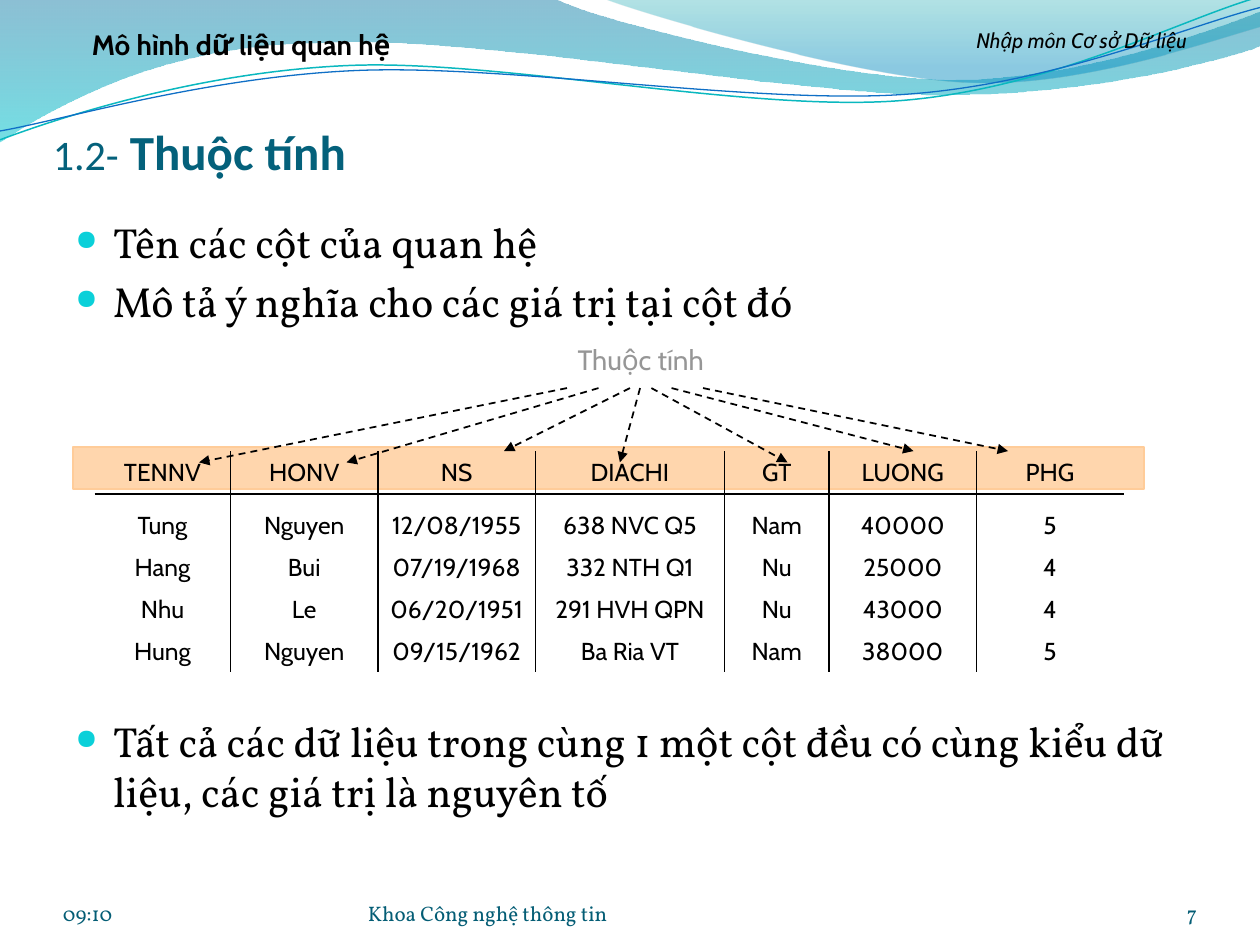
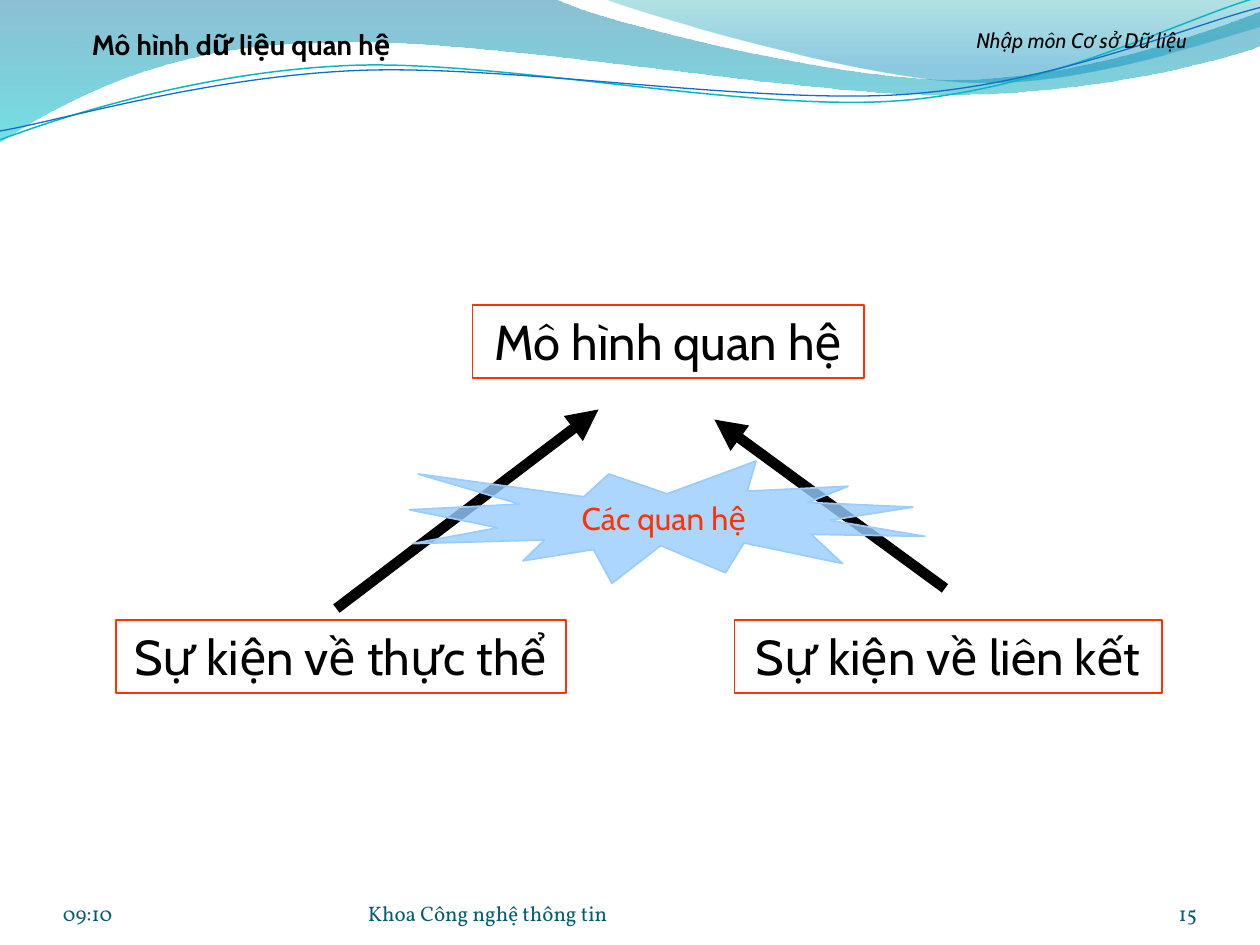
from dataclasses import dataclass
from itertools import accumulate
from math import cos, radians, sin
from typing import Any, NamedTuple

from lxml import etree
from pptx import Presentation, util as u
from pptx.dml.color import RGBColor
from pptx.enum import dml, shapes, text
from pptx.oxml.ns import qn


@dataclass(frozen=True)
class Theme:
    black: str = "000000"
    title: str = "04617B"
    foot: str = "045D75"
    dot: str = "0BD0D9"
    peach: str = "FFCC99"
    grey: str = "969696"
    red: str = "FF3300"
    sky: str = "99CCFF"
    head: str = "Calibri"
    body: str = "Vollkorn"
    sans: str = "Cabin"
    small: int = 12
    cell: int = 14
    label: int = 16
    seal: int = 18
    main: int = 24
    big: int = 28


T = Theme()
LEFT, MID, RIGHT = text.PP_ALIGN.LEFT, text.PP_ALIGN.CENTER, text.PP_ALIGN.RIGHT
TOP, BASE, CORE = text.MSO_ANCHOR.TOP, text.MSO_ANCHOR.BOTTOM, text.MSO_ANCHOR.MIDDLE
GROW = text.MSO_AUTO_SIZE.SHAPE_TO_FIT_TEXT
RECT = shapes.MSO_SHAPE.RECTANGLE
INSETS = ("margin_left", "margin_top", "margin_right", "margin_bottom")
PLAIN = "{2D5ABB26-0587-4C30-8999-92F81FD0307C}"


class Box(NamedTuple):
    x: float
    y: float
    w: float
    h: float


class Run(NamedTuple):
    words: str
    size: int
    font: str = T.sans
    color: str = T.black
    bold: bool = False
    italic: bool = False


class Label(NamedTuple):
    box: Box
    runs: tuple[Run, ...]
    align: Any = MID
    anchor: Any = TOP
    inset: tuple[float, ...] = (0.1, 0.05, 0.1, 0.05)


class Line(NamedTuple):
    start: tuple[float, float]
    end: tuple[float, float]


class Stop(NamedTuple):
    place: float
    color: str
    alpha: int


class Wave(NamedTuple):
    start: tuple[float, float]
    steps: tuple[tuple[float, ...], ...]
    stops: tuple[Stop, ...] = ()
    color: str = ""
    width: float = 0
    turn: float = 0
    hub: tuple[float, float] = (0, 0)


class Col(NamedTuple):
    width: float
    cells: tuple[str, ...]


WAVES = (
    Wave((0, -0.01), (
        (4.4, -0.01), (4.76, 0.17, 6.64, 0.63, 7.58, 0.63),
        (8.53, 0.63, 9.58, 0.26, 10, 0.09), (10.01, 0.36),
        (9.83, 0.44, 8.7, 0.76, 7.46, 0.75), (6.22, 0.75, 3.82, 0.28, 2.57, 0.34),
        (1.29, 0.35, 0.46, 0.83, -0.01, 1.13)),
        stops=(Stop(0, "0074A1", 45), Stop(1, "00C6CF", 55))),
    Wave((4.79, -0.01), (
        (5.09, 0.11, 6.82, 0.62, 7.69, 0.65), (8.56, 0.69, 9.61, 0.32, 10, 0.21), (10, 0)),
        stops=(Stop(0, "00A1A9", 30), Stop(0.8, "008BBF", 45))),
    Wave((0, 1.11), (
        (0.48, 0.93, 1.58, 0.57, 2.77, 0.52), (3.95, 0.47, 5.93, 0.89, 7.13, 0.8),
        (8.33, 0.71, 9.38, 0.15, 9.98, -0.02)),
        color="0AB8BF", width=0.85, turn=-2.7, hub=(4.99, 0.57)),
    Wave((0, 1.04), (
        (0.47, 0.96, 1.64, 0.61, 2.83, 0.56), (4.03, 0.51, 5.97, 0.83, 7.17, 0.75),
        (8.36, 0.67, 9.41, 0.21, 10, 0.06)),
        color="0F6FC6", width=0.75, turn=-2.7, hub=(5, 0.59)),
)
COLS = (
    Col(1.08, ("TENNV", "Tung", "Hang", "Nhu", "Hung")),
    Col(1.17, ("HONV", "Nguyen", "Bui", "Le", "Nguyen")),
    Col(1.25, ("NS", "12/08/1955", "07/19/1968", "06/20/1951", "09/15/1962")),
    Col(1.5, ("DIACHI", "638 NVC Q5", "332 NTH Q1", "291 HVH QPN", "Ba Ria VT")),
    Col(0.83, ("GT", "Nam", "Nu", "Nu", "Nam")),
    Col(1.17, ("LUONG", "40000", "25000", "43000", "38000")),
    Col(1.17, ("PHG", "5", "4", "4", "5")),
)
ROWS = (0.33, 0.41, 1 / 3, 1 / 3, 1 / 3)
RAYS = (
    Line((5.08, 3.08), (4.92, 3.67)), Line((5, 3.08), (4, 3.58)),
    Line((5.17, 3.08), (6.25, 3.67)), Line((5.33, 3.08), (7.25, 3.58)),
    Line((4.75, 3.08), (2.75, 3.67)), Line((4.5, 3.08), (1.58, 3.67)),
    Line((5.58, 3.08), (8, 3.58)),
)
LISTS = (
    (Box(0.5, 1.67, 9, 1), ("Tên các cột của quan hệ",
                            "Mô tả ý nghĩa cho các giá trị tại cột đó")),
    (Box(0.5, 5.63, 9, 1), ("Tất cả các dữ liệu trong cùng 1 một cột đều có cùng kiểu dữ liệu, "
                            "các giá trị là nguyên tố",)),
)
FACTS = (
    (Box(3.75, 2.42, 3.11, 0.58), "Mô hình quan hệ"),
    (Box(0.92, 4.92, 3.57, 0.58), "Sự kiện về thực thể"),
    (Box(5.83, 4.92, 3.39, 0.58), "Sự kiện về liên kết"),
)
LINKS = (Line((2.67, 4.83), (4.75, 3.25)), Line((7.5, 4.67), (5.67, 3.33)))


def put(item: Any, vals: dict[str, Any]) -> None:
    for key, val in vals.items():
        setattr(item, key, val)


def span(box: Box) -> list[int]:
    return [u.Inches(val) for val in box]


def rgb(color: str) -> RGBColor:
    return RGBColor.from_string(color)


def fade(shape: Any, alphas: tuple[int, ...]) -> None:
    for node, alpha in zip(shape.element.spPr.iter(qn("a:srgbClr")), alphas):
        etree.SubElement(node, qn("a:alpha"), val=str(alpha * 1000))


def ink(line: Any, color: str, width: float) -> None:
    line.color.rgb = rgb(color)
    line.width = u.Pt(width)


def write(para: Any, runs: tuple[Run, ...], align: Any = MID) -> None:
    para.alignment = align
    for part in runs:
        run = para.add_run()
        run.text = part.words
        put(run.font, {"size": u.Pt(part.size), "name": part.font,
                       "bold": part.bold, "italic": part.italic})
        run.font.color.rgb = rgb(part.color)


def draw_label(slide: Any, label: Label) -> None:
    frame = slide.shapes.add_textbox(*span(label.box)).text_frame
    put(frame, {"word_wrap": True, "vertical_anchor": label.anchor})
    put(frame, dict(zip(INSETS, map(u.Inches, label.inset))))
    write(frame.paragraphs[0], label.runs, label.align)


def draw_shape(slide: Any, kind: Any, box: Box, color: str, alpha: int = 0) -> Any:
    shape = slide.shapes.add_shape(kind, *span(box))
    shape.shadow.inherit = False
    ink(shape.line, color, 1)
    if alpha:
        shape.fill.solid()
        shape.fill.fore_color.rgb = rgb(color)
        fade(shape, (alpha,))
    else:
        shape.fill.background()
    return shape


def draw_line(slide: Any, line: Line, width: float = 1, dash: Any = None,
              head: bool = True) -> None:
    ends = [u.Inches(val) for val in line.start + line.end]
    join = slide.shapes.add_connector(shapes.MSO_CONNECTOR.STRAIGHT, *ends)
    ink(join.line, T.black, width)
    if dash:
        join.line.dash_style = dash
    if head:
        etree.SubElement(join.line._get_or_add_ln(), qn("a:tailEnd"), type="triangle")
    etree.SubElement(join.element.spPr, qn("a:effectLst"))


def spots(wave: Wave, step: tuple[float, ...]) -> list[tuple[int, int]]:
    c, s = cos(radians(-wave.turn)), sin(radians(-wave.turn))
    hx, hy = wave.hub
    pairs = [(x - hx, y - hy) for x, y in zip(step[::2], step[1::2])]
    return [(u.Inches(hx + x * c - y * s), u.Inches(hy + x * s + y * c)) for x, y in pairs]


def draw_wave(slide: Any, wave: Wave) -> None:
    moves = [spots(wave, step) for step in wave.steps]
    pen = slide.shapes.build_freeform(*spots(wave, wave.start)[0])
    pen.add_line_segments([move[-1] for move in moves], close=bool(wave.stops))
    shape = pen.convert_to_shape()
    shape.shadow.inherit = False
    for node, move in zip(list(shape.element.spPr.iter(qn("a:lnTo"))), moves):
        if len(move) == 3:
            curve = etree.Element(qn("a:cubicBezTo"))
            for x, y in move:
                etree.SubElement(curve, qn("a:pt"), x=str(x - shape.left), y=str(y - shape.top))
            node.getparent().replace(node, curve)
    shape.rotation = wave.turn
    if wave.stops:
        shape.fill.gradient()
        shape.fill.gradient_angle = 270
        for spot, stop in zip(shape.fill.gradient_stops, wave.stops):
            spot.position = stop.place
            spot.color.rgb = rgb(stop.color)
        fade(shape, tuple(stop.alpha for stop in wave.stops))
        shape.line.fill.background()
    else:
        shape.fill.background()
        ink(shape.line, wave.color, wave.width)


def draw_list(slide: Any, box: Box, items: tuple[str, ...]) -> None:
    frame = slide.shapes.add_textbox(*span(box)).text_frame
    frame.word_wrap = True
    for i, item in enumerate(items):
        para = frame.add_paragraph() if i else frame.paragraphs[0]
        write(para, (Run(item, T.main, T.body),), LEFT)
        para.space_before = u.Pt(5)
        props = para._p.get_or_add_pPr()
        props.set("marL", str(u.Inches(0.3)))
        props.set("indent", str(-u.Inches(0.3)))
        tint = etree.SubElement(props, qn("a:buClr"))
        etree.SubElement(tint, qn("a:srgbClr"), val=T.dot)
        etree.SubElement(props, qn("a:buSzPct"), val="67000")
        etree.SubElement(props, qn("a:buChar"), char="●")


def draw_table(slide: Any, x: float, y: float) -> None:
    box = Box(x, y, sum(col.width for col in COLS), sum(ROWS))
    table = slide.shapes.add_table(len(ROWS), len(COLS), *span(box)).table
    put(table, {"first_row": False, "horz_banding": False})
    for node in table._tbl.iter(qn("a:tableStyleId")):
        node.text = PLAIN
    for row, high in zip(table.rows, ROWS):
        row.height = u.Inches(high)
    for c, col in enumerate(COLS):
        table.columns[c].width = u.Inches(col.width)
        for r, words in enumerate(col.cells):
            cell = table.cell(r, c)
            cell.fill.background()
            put(cell, dict.fromkeys(INSETS, u.Inches(0.04)))
            cell.vertical_anchor = BASE if r else CORE
            write(cell.text_frame.paragraphs[0], (Run(words, T.cell),))


def draw_rules(slide: Any, left: float) -> None:
    *inner, right = accumulate((col.width for col in COLS), initial=left)
    draw_line(slide, Line((left, 3.92), (right, 3.92)), head=False)
    for x in inner[1:]:
        draw_line(slide, Line((x, 3.58), (x, 5.33)), head=False)


def add_slide(deck: Any, number: str) -> Any:
    slide = deck.slides.add_slide(deck.slide_layouts[6])
    for wave in WAVES:
        draw_wave(slide, wave)
    for x, wide, words, align in ((0.5, 2.33, "09:10", LEFT), (8.67, 0.83, number, RIGHT),
                                  (2.92, 3.67, "Khoa Công nghệ thông tin", LEFT)):
        run = Run(words, T.small, T.body, T.foot)
        draw_label(slide, Label(Box(x, 6.95, wide, 0.4), (run,), align, BASE, (0, 0, 0, 0)))
    draw_label(slide, Label(Box(7.17, 0.17, 2.83, 0.38),
                            (Run("Nhập môn Cơ sở Dữ liệu", T.small, italic=True),)))
    draw_label(slide, Label(Box(0.25, 0.17, 3.33, 0.37),
                            (Run("Mô hình dữ liệu quan hệ", T.label, bold=True),)))
    return slide


def add_traits(deck: Any) -> None:
    slide = add_slide(deck, "7")
    runs = (Run("1.2-", T.main, T.head, T.title),
            Run(" Thuộc tính", T.big, T.head, T.title, True))
    draw_label(slide, Label(Box(0.42, 0.75, 9, 0.68), runs, LEFT, BASE, (0, 0.05, 0, 0)))
    for box, items in LISTS:
        draw_list(slide, box, items)
    draw_shape(slide, RECT, Box(0.58, 3.55, 8.5, 0.33), T.peach, 80)
    draw_table(slide, 0.75, 3.59)
    draw_rules(slide, 0.75)
    draw_label(slide, Label(Box(4, 2.67, 2.17, 0.37),
                            (Run("Thuộc tính", T.label, color=T.grey),)))
    for ray in RAYS:
        draw_line(slide, ray, dash=dml.MSO_LINE.DASH)


def add_model(deck: Any) -> None:
    slide = add_slide(deck, "15")
    for box, words in FACTS:
        frame = draw_shape(slide, RECT, box, T.red).text_frame
        put(frame, {"word_wrap": False, "vertical_anchor": TOP, "auto_size": GROW})
        write(frame.paragraphs[0], (Run(words, T.big),))
    for link in LINKS:
        draw_line(slide, link, 6)
    seal = draw_shape(slide, shapes.MSO_SHAPE.EXPLOSION1, Box(3.25, 3.66, 4.09, 0.97), T.sky, 80)
    seal.text_frame.vertical_anchor = CORE
    write(seal.text_frame.paragraphs[0], (Run("Các quan hệ", T.seal, color=T.red),))


def main() -> None:
    deck = Presentation()
    put(deck, {"slide_width": u.Inches(10), "slide_height": u.Inches(7.5)})
    add_traits(deck)
    add_model(deck)
    deck.save("out.pptx")


if __name__ == "__main__":
    main()
